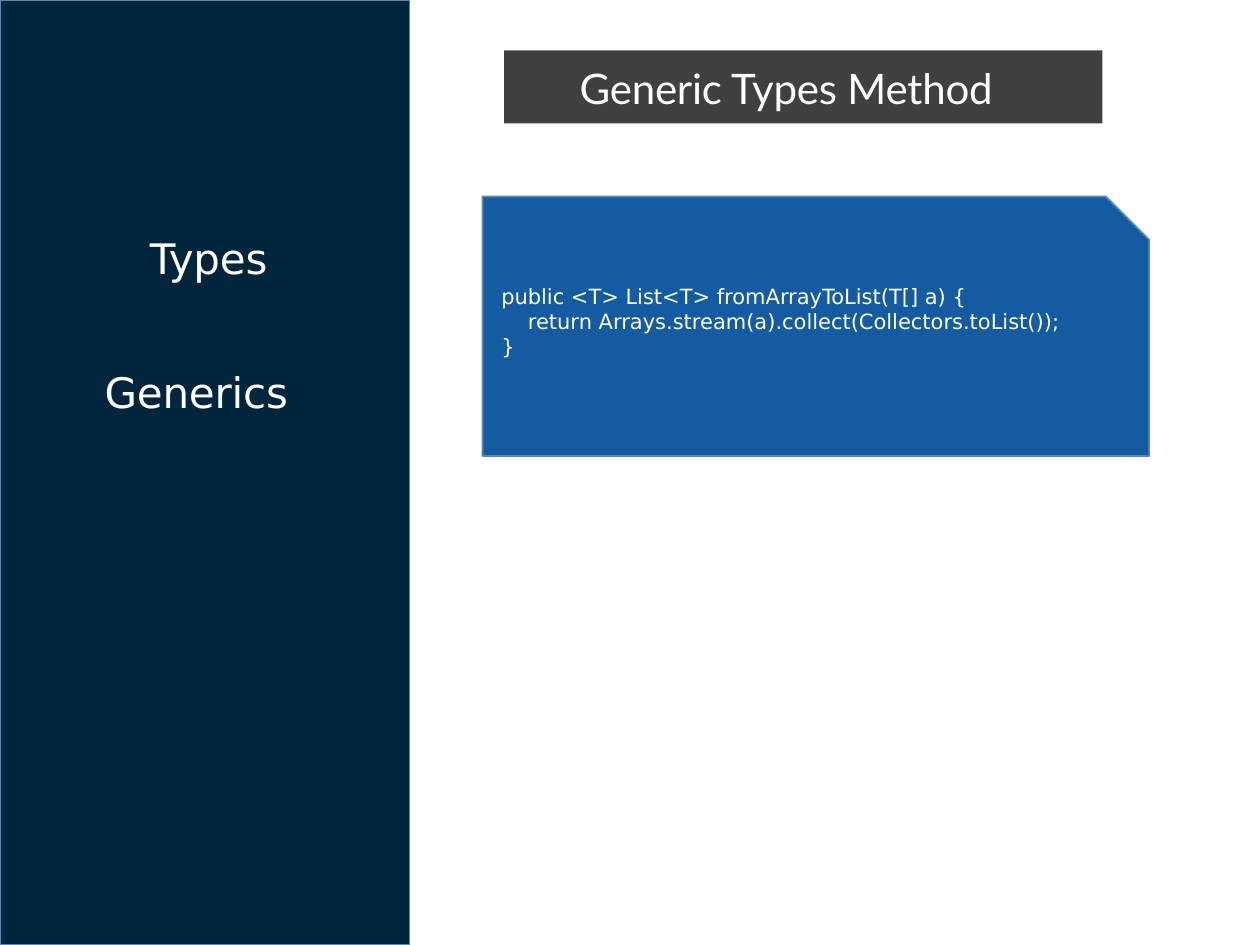
from dataclasses import dataclass

from pptx import Presentation
from pptx.dml.color import RGBColor
from pptx.enum.shapes import MSO_SHAPE
from pptx.enum.text import MSO_ANCHOR, MSO_AUTO_SIZE, PP_ALIGN
from pptx.util import Inches, Pt

RECTANGLE = MSO_SHAPE.RECTANGLE
SNIPPED = MSO_SHAPE.SNIP_1_RECTANGLE
MIDDLE = MSO_ANCHOR.MIDDLE
NO_AUTOFIT = MSO_AUTO_SIZE.NONE
LEFT = PP_ALIGN.LEFT


@dataclass(frozen=True)
class Theme:
    navy: RGBColor = RGBColor(0x00, 0x25, 0x3C)
    charcoal: RGBColor = RGBColor(0x40, 0x40, 0x40)
    blue: RGBColor = RGBColor(0x14, 0x5B, 0xA2)
    outline: RGBColor = RGBColor(0x5C, 0x87, 0xB1)
    white: RGBColor = RGBColor(0xFF, 0xFF, 0xFF)
    heading_size: Pt = Pt(24)
    code_size: Pt = Pt(12)
    title_font: str = "Lato"
    text_font: str = "DejaVu Sans"


theme = Theme()


def style_text(paragraph, font_name, size):
    paragraph.alignment = LEFT
    for run in paragraph.runs:
        run.font.name = font_name
        run.font.size = size
        run.font.color.rgb = theme.white


def write_heading(heading, text, font_name):
    frame = heading.text_frame
    frame.text = text
    frame.word_wrap = True
    frame.auto_size = NO_AUTOFIT
    frame.vertical_anchor = MIDDLE
    frame.margin_left = Inches(0.6)
    frame.margin_top = Inches(0.01)
    frame.margin_right = frame.margin_bottom = 0
    paragraph = frame.paragraphs[0]
    style_text(paragraph, font_name, theme.heading_size)
    paragraph.runs[0].font._element.set("spc", "-10")


prs = Presentation()
prs.slide_width = Inches(10)
prs.slide_height = Inches(7.5)
slide = prs.slides.add_slide(prs.slide_layouts[5])
shapes = slide.shapes

panels = [
    (RECTANGLE, 0, 0, 3.25, 7.5, theme.navy, theme.outline),
    (RECTANGLE, 4, 0.4, 4.75, 0.58, theme.charcoal, None),
    (SNIPPED, 3.83, 1.56, 5.29, 2.06, theme.blue, theme.outline),
]
for kind, left, top, width, height, fill, outline in panels:
    panel = shapes.add_shape(kind, Inches(left), Inches(top), Inches(width), Inches(height))
    panel.shadow.inherit = False
    panel.fill.solid()
    panel.fill.fore_color.rgb = fill
    if outline is None:
        panel.line.fill.background()
    else:
        panel.line.color.rgb = outline
        panel.line.width = Pt(1)

topics = [("Types", 0.59, 1.83, 2.07), ("Generics", 0.23, 2.89, 2.79)]
for text, left, top, width in topics:
    topic = shapes.add_textbox(Inches(left), Inches(top), Inches(width), Inches(0.42))
    write_heading(topic, text, theme.text_font)

title = shapes.title
title.left, title.top = Inches(4), Inches(0.48)
title.width, title.height = Inches(4.75), Inches(0.42)
write_heading(title, "Generic Types Method", theme.title_font)
shapes._spTree.append(title._element)

code = shapes.add_textbox(Inches(3.88), Inches(2.2), Inches(5.09), Inches(0.71))
code.text_frame.word_wrap = True
code.text_frame.text = """public <T> List<T> fromArrayToList(T[] a) {
    return Arrays.stream(a).collect(Collectors.toList());
}"""
for line in code.text_frame.paragraphs:
    style_text(line, theme.text_font, theme.code_size)

prs.save("out.pptx")
